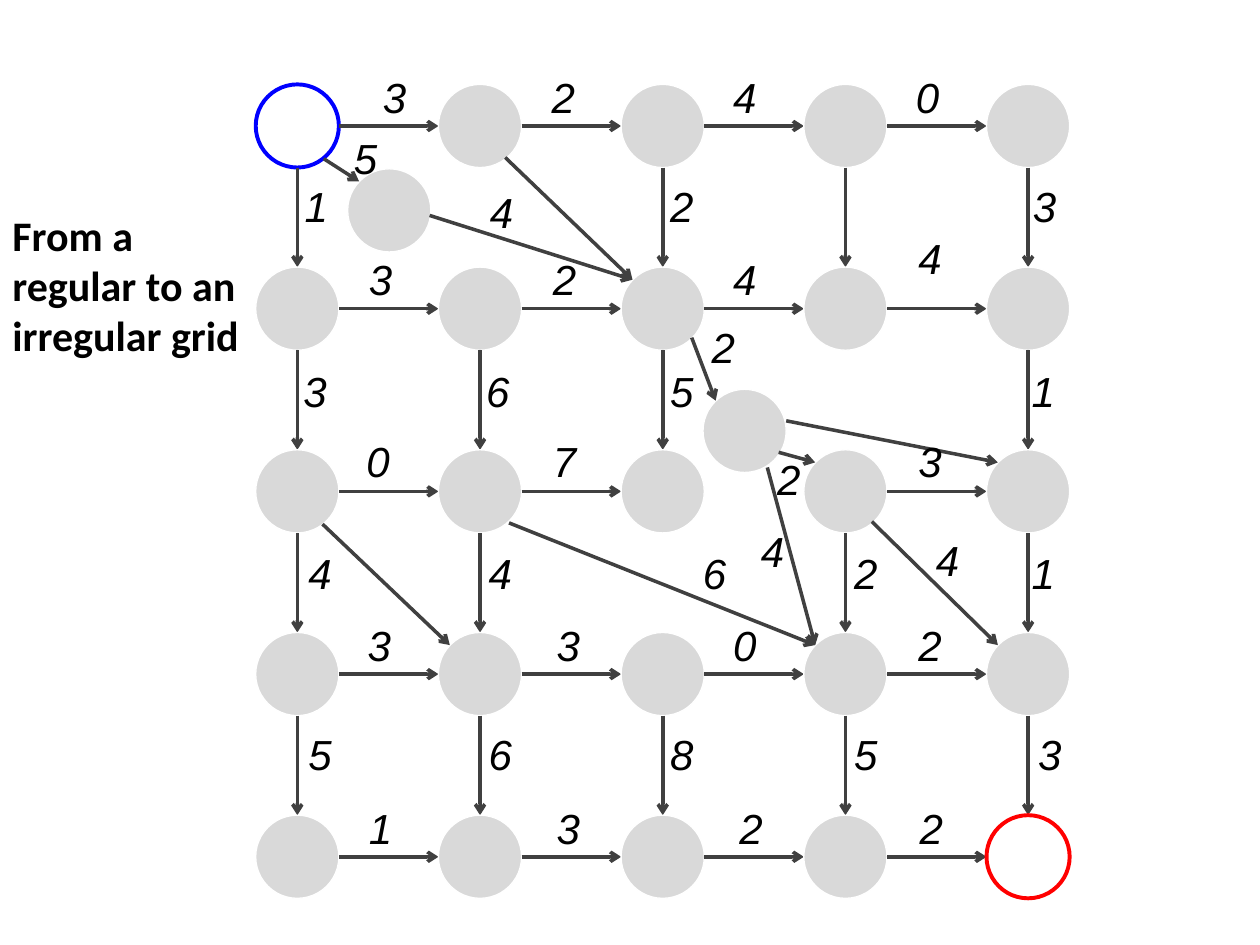
from typing import NamedTuple

import pptx
import pptx.dml.color
import pptx.enum.shapes
import pptx.enum.text
import pptx.oxml
import pptx.oxml.ns
import pptx.util
from pptx.util import Inches

COLORS = {"node": "D9D9D9", "white": "FFFFFF", "edge": "404040",
          "text": "000000", "source": "0000FF", "sink": "FF0000"}
SIZE = 5
DIAMETER = 0.66
RADIUS = DIAMETER / 2
PITCH = 1.45
FIRST_X, FIRST_Y = 2.36, 1.0  # centre of the top left node


class Point(NamedTuple):
    x: float
    y: float


class Edge(NamedTuple):
    start: Point
    end: Point


class LabelRow(NamedTuple):
    top: float
    items: list[tuple[float, str]]  # left, weight


MISSING_RIGHT = {(2, 2)}  # column, row of the node where the edge would start
MISSING_DOWN = {(1, 0), (2, 2), (3, 1)}
EXTRA_NODES = [Point(3.09, 1.67), Point(5.91, 3.42)]
IRREGULAR_EDGES = [
    Edge(Point(2.57, 1.26), Point(2.85, 1.44)),
    Edge(Point(3.41, 1.71), Point(5.02, 2.22)),
    Edge(Point(4.01, 1.25), Point(5.02, 2.22)),
    Edge(Point(5.49, 2.68), Point(5.68, 3.18)),
    Edge(Point(6.24, 3.34), Point(7.92, 3.67)),
    Edge(Point(6.18, 3.59), Point(6.47, 3.67)),
    Edge(Point(6.09, 3.71), Point(6.47, 5.12)),
    Edge(Point(2.56, 4.16), Point(3.57, 5.12)),
    Edge(Point(4.04, 4.15), Point(6.47, 5.12)),
    Edge(Point(6.92, 4.14), Point(7.92, 5.12)),
]
WEIGHTS = [
    # above the horizontal edges
    LabelRow(0.52, [(2.94, "3"), (4.28, "2"), (5.72, "4"), (7.17, "0")]),
    LabelRow(1.96, [(2.83, "3"), (4.29, "2"), (5.72, "4")]),
    LabelRow(3.41, [(2.81, "0"), (4.29, "7"), (7.19, "3")]),
    LabelRow(4.87, [(2.82, "3"), (4.32, "3"), (5.72, "0"), (7.19, "2")]),
    LabelRow(6.32, [(2.83, "1"), (4.32, "3"), (5.77, "2"), (7.2, "2")]),
    # beside the vertical edges
    LabelRow(1.38, [(2.32, "1"), (5.22, "2"), (8.1, "3")]),
    LabelRow(2.85, [(2.31, "3"), (3.76, "6"), (5.22, "5"), (8.09, "1")]),
    LabelRow(4.3, [(2.35, "4"), (3.78, "4"), (6.68, "2"), (8.09, "1")]),
    LabelRow(5.73, [(2.35, "5"), (3.78, "6"), (5.22, "8"), (6.68, "5"), (8.14, "3")]),
    # along the irregular edges
    LabelRow(1.0, [(2.71, "5")]),
    LabelRow(1.43, [(3.79, "4")]),
    LabelRow(1.8, [(7.19, "4")]),
    LabelRow(2.5, [(5.55, "2")]),
    LabelRow(3.55, [(6.07, "2")]),
    LabelRow(4.12, [(5.94, "4")]),
    LabelRow(4.19, [(7.33, "4")]),
    LabelRow(4.3, [(5.48, "6")]),
]


def rgb(name: str) -> pptx.dml.color.RGBColor:
    return pptx.dml.color.RGBColor.from_string(COLORS[name])


def grid_point(col: int, row: int) -> Point:
    return Point(FIRST_X + col * PITCH, FIRST_Y + row * PITCH)


def add_node(s, center: Point, fill: str = "node", line: str = "white",
             width: float = 0.75) -> None:
    sp = s.shapes.add_shape(
        pptx.enum.shapes.MSO_SHAPE.OVAL, Inches(center.x - RADIUS),
        Inches(center.y - RADIUS), Inches(DIAMETER), Inches(DIAMETER))
    sp.shadow.inherit = False
    sp.fill.solid()
    sp.fill.fore_color.rgb = rgb(fill)
    sp.line.color.rgb = rgb(line)
    sp.line.width = pptx.util.Pt(width)


def add_edge(s, edge: Edge) -> None:
    cxn = s.shapes.add_connector(
        pptx.enum.shapes.MSO_CONNECTOR.STRAIGHT,
        Inches(edge.start.x), Inches(edge.start.y),
        Inches(edge.end.x), Inches(edge.end.y))
    cxn.line.color.rgb = rgb("edge")
    cxn.line.width = pptx.util.Pt(2)
    ns = pptx.oxml.ns.nsdecls("a")
    cxn.line._get_or_add_ln().append(
        pptx.oxml.parse_xml(f'<a:tailEnd {ns} type="arrow"/>'))
    cxn._element.spPr.append(pptx.oxml.parse_xml(f"<a:effectLst {ns}/>"))


def add_text(s, text: str, left: float, top: float, width: float = 0.26,
             height: float = 0.5, *, font: str = "Arial",
             bold: bool = False, italic: bool = False) -> None:
    tf = s.shapes.add_textbox(
        Inches(left), Inches(top), Inches(width), Inches(height)).text_frame
    tf.word_wrap = True
    tf.auto_size = pptx.enum.text.MSO_AUTO_SIZE.SHAPE_TO_FIT_TEXT
    r = tf.paragraphs[0].add_run()
    r.text = text
    r.font.name = font
    r.font.size = pptx.util.Pt(24)
    r.font.bold = bold
    r.font.italic = italic
    r.font.color.rgb = rgb("text")


def add_grid(s) -> None:
    last = SIZE - 1
    for row in range(SIZE):
        for col in range(SIZE):
            x, y = center = grid_point(col, row)
            if (col, row) == (0, 0):
                add_node(s, center, "white", "source", 2.25)
            elif (col, row) == (last, last):
                add_node(s, center, "white", "sink", 2.25)
            else:
                add_node(s, center)
            if col < last and (col, row) not in MISSING_RIGHT:
                add_edge(s, Edge(Point(x + RADIUS, y), Point(x + PITCH - RADIUS, y)))
            if row < last and (col, row) not in MISSING_DOWN:
                add_edge(s, Edge(Point(x, y + RADIUS), Point(x, y + PITCH - RADIUS)))


def main() -> None:
    prs = pptx.Presentation()
    prs.slide_width, prs.slide_height = Inches(10), Inches(7.5)
    s = prs.slides.add_slide(prs.slide_layouts[6])
    add_grid(s)
    for center in EXTRA_NODES:
        add_node(s, center)
    for edge in IRREGULAR_EDGES:
        add_edge(s, edge)
    for label_row in WEIGHTS:
        for left, weight in label_row.items:
            add_text(s, weight, left, label_row.top, italic=True)
    add_text(s, "From a regular to an irregular grid", 0, 1.61, 2.02, 1.31,
             font="Calibri", bold=True)
    prs.save("out.pptx")


if __name__ == "__main__":
    main()
